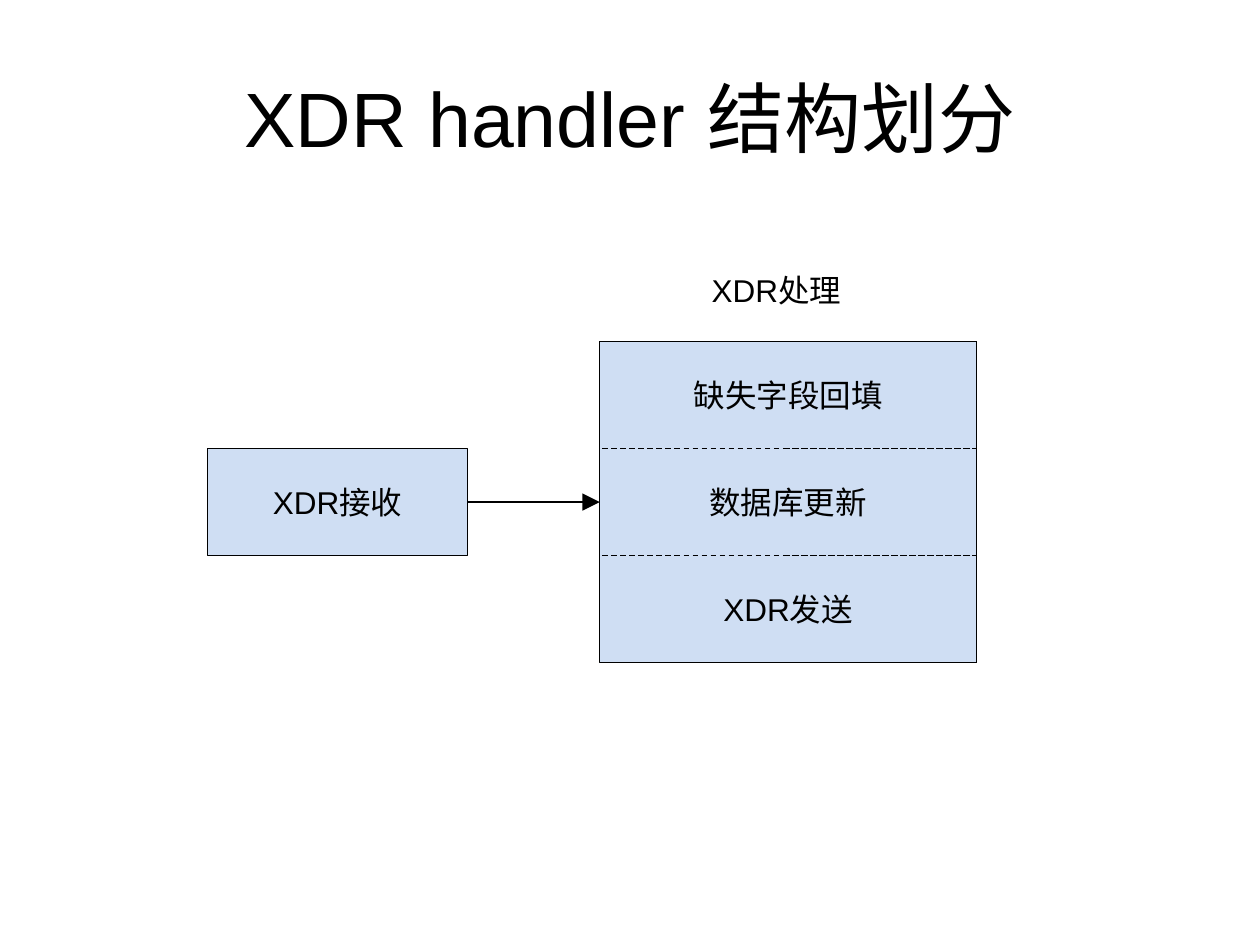
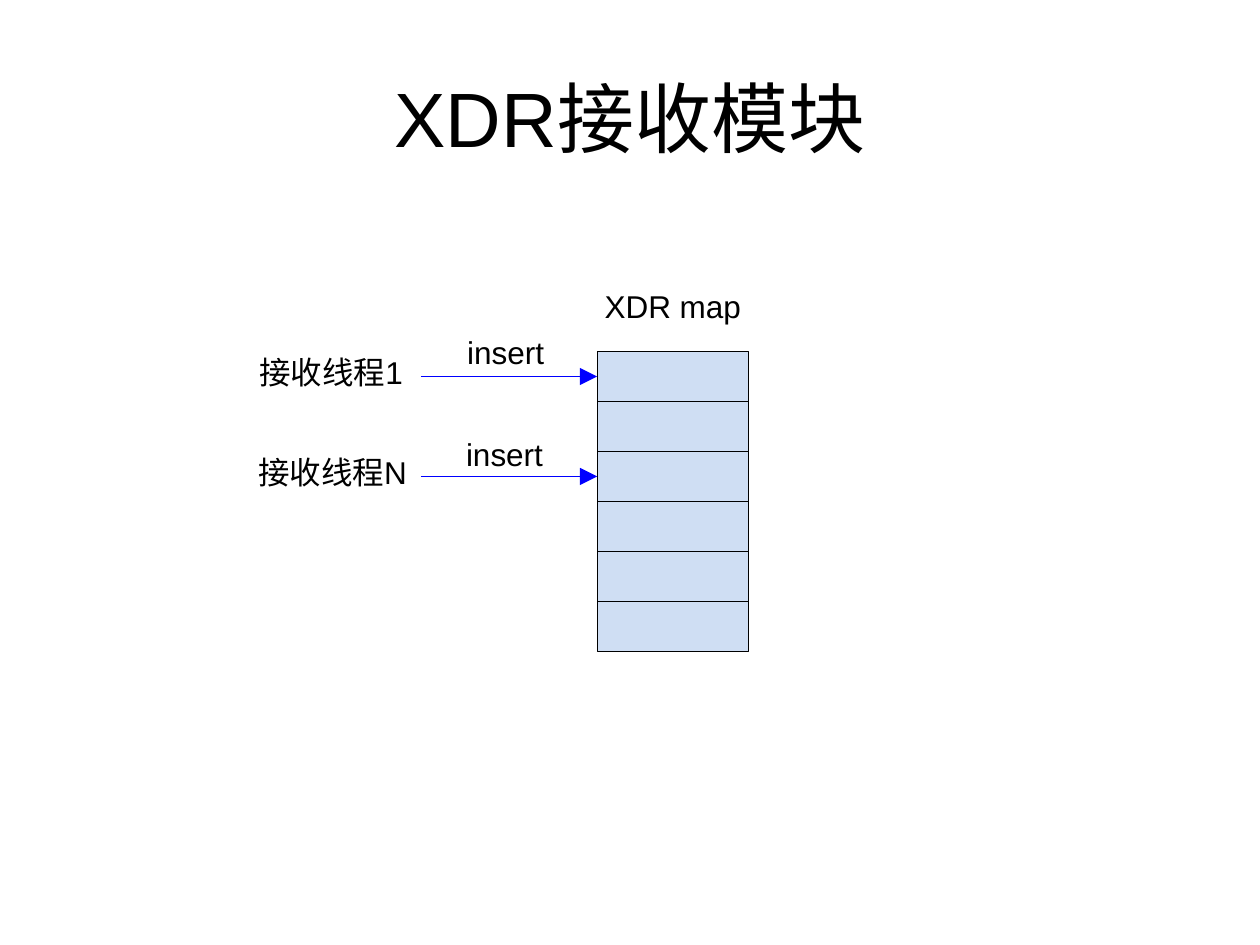
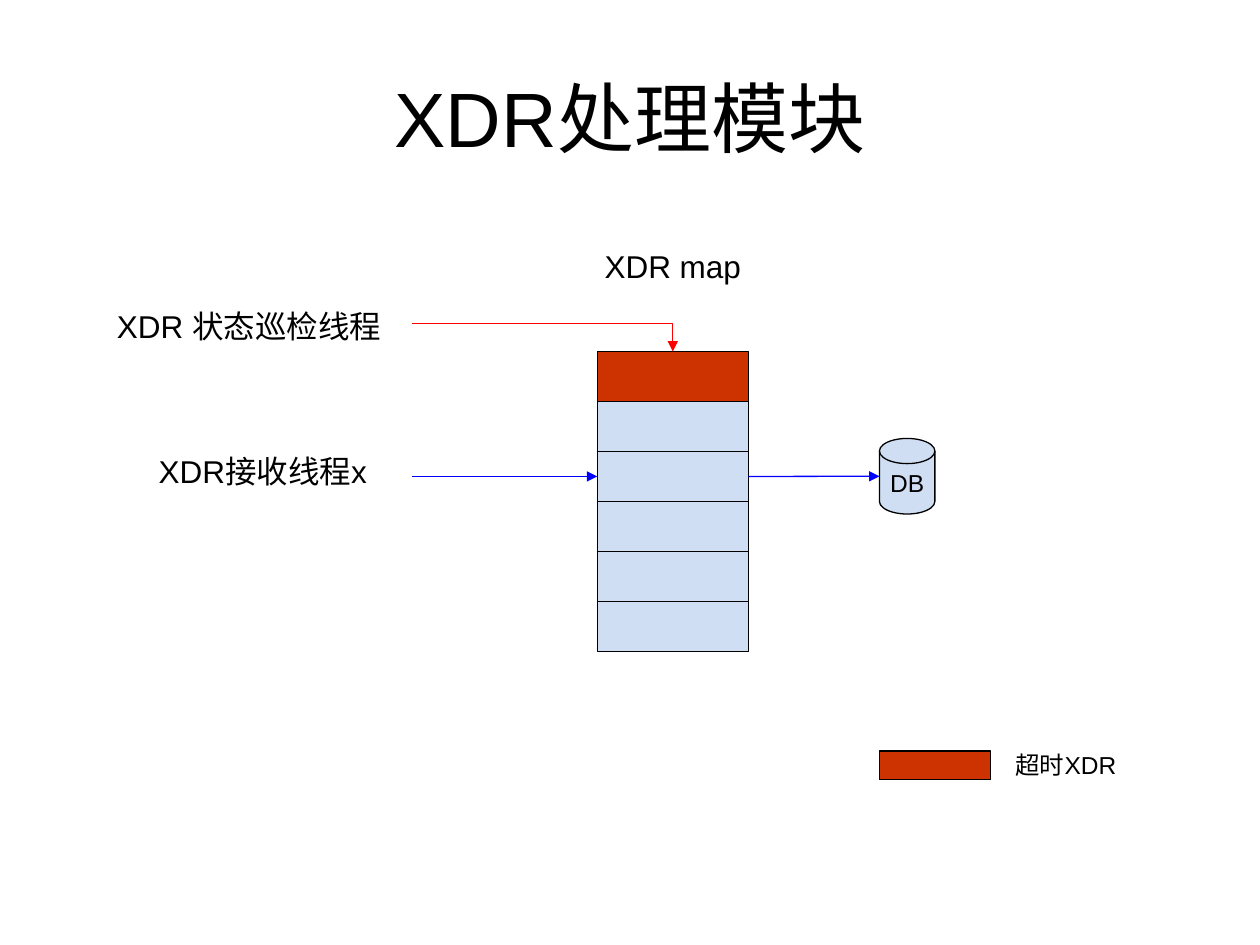
from lxml.etree import SubElement
from pptx import Presentation
from pptx.dml.color import RGBColor
from pptx.enum.dml import MSO_LINE
from pptx.enum.shapes import MSO_CONNECTOR, MSO_SHAPE
from pptx.enum.text import MSO_ANCHOR, MSO_AUTO_SIZE, PP_ALIGN
from pptx.oxml.ns import qn
from pptx.util import Inches, Pt

BLACK = RGBColor(0x00, 0x00, 0x00)
PALE_BLUE = RGBColor(0xCF, 0xDE, 0xF3)
TIMEOUT_RED = RGBColor(0xCC, 0x33, 0x00)
BLUE = RGBColor(0x00, 0x00, 0xFF)
RED = RGBColor(0xFF, 0x00, 0x00)
FONT = "Arial"
LINE_WIDTH = Pt(0.75)
TOP, LEFT, RIGHT = 0, 1, 3
SLOT_COUNT = 6
MAP_BOX = (4.74, 2.79, 1.2, 2.38)


def write(shape, text, size, align=PP_ALIGN.CENTER, anchor=MSO_ANCHOR.MIDDLE, wrap=False):
    """Put one styled run into a shape."""
    frame = shape.text_frame
    frame.word_wrap = wrap
    frame.vertical_anchor = anchor
    para = frame.paragraphs[0]
    para.alignment = align
    span = para.add_run()
    span.text = text
    span.font.name = FONT
    span.font.size = Pt(size)
    span.font.color.rgb = BLACK


def add_title(page, text):
    """Add the centred slide title."""
    box = page.shapes.add_textbox(Inches(0.5), Inches(0.3), Inches(9), Inches(1.25))
    write(box, text, 44, wrap=True)


def add_label(page, text, left, top, width, height=0.4, size=18):
    """Add a free label that fits its text."""
    box = page.shapes.add_textbox(Inches(left), Inches(top), Inches(width), Inches(height))
    write(box, text, size, PP_ALIGN.LEFT, MSO_ANCHOR.TOP)
    box.text_frame.auto_size = MSO_AUTO_SIZE.SHAPE_TO_FIT_TEXT


def add_block(page, left, top, width, height, fill=PALE_BLUE, text="", size=18,
              kind=MSO_SHAPE.RECTANGLE, dashed=False):
    """Add an outlined shape, unfilled if fill is None."""
    block = page.shapes.add_shape(kind, Inches(left), Inches(top), Inches(width), Inches(height))
    block.shadow.inherit = False
    if fill is None:
        block.fill.background()
    else:
        block.fill.solid()
        block.fill.fore_color.rgb = fill
    block.line.color.rgb = BLACK
    block.line.width = LINE_WIDTH
    if dashed:
        block.line.dash_style = MSO_LINE.DASH
    if text:
        write(block, text, size)
    return block


def style_arrow(arrow, color, head):
    """Colour a connector and give it an arrowhead."""
    arrow.line.color.rgb = color
    arrow.line.width = LINE_WIDTH
    SubElement(arrow.line._get_or_add_ln(), qn("a:tailEnd"), type="triangle", w=head, len=head)
    SubElement(arrow._element.spPr, qn("a:effectLst"))


def add_arrow(page, start, target, color, head="med", source=None):
    """Draw a level arrow to the left side of a target."""
    middle = target.top + target.height // 2
    arrow = page.shapes.add_connector(
        MSO_CONNECTOR.STRAIGHT, Inches(start), middle, target.left, middle)
    if source is not None:
        arrow.begin_connect(source, RIGHT)
    arrow.end_connect(target, LEFT)
    style_arrow(arrow, color, head)


def add_bent_arrow(page, left, top, target, color):
    """Draw an arrow that runs right, then down onto a target."""
    arrow = page.shapes.add_connector(
        MSO_CONNECTOR.ELBOW, Inches(left), Inches(top),
        target.left + target.width // 2, target.top)
    arrow._element.spPr.find(qn("a:prstGeom")).set("prst", "bentConnector2")
    arrow.end_connect(target, TOP)
    style_arrow(arrow, color, "med")


def add_map(page, box, label_top, first_fill=PALE_BLUE):
    """Stack the map slots in a box, label them and return them."""
    left, top, width, height = box
    pitch = height / SLOT_COUNT
    fills = [first_fill] + [PALE_BLUE] * (SLOT_COUNT - 1)
    slots = [add_block(page, left, top + row * pitch, width, pitch, fill)
             for row, fill in enumerate(fills)]
    add_label(page, "XDR map", left - 0.04, label_top, 1.34)
    return slots


def add_processing(page, left, top, width, height):
    """Add the processing panel with its dashed steps."""
    panel = add_block(page, left, top, width, height)
    steps = ["缺失字段回填", "数据库更新", "XDR发送"]
    step_height = height / len(steps)
    for row, step in enumerate(steps):
        add_block(page, left, top + row * step_height, width, step_height,
                  None, step, dashed=True)
    add_label(page, "XDR处理", left + 0.79, top - 0.61, 1.32)
    return panel


def add_insert(page, slot, thread, left, top, label_top):
    """Add a receiving thread that inserts into a slot."""
    add_arrow(page, 3.34, slot, BLUE, "lg")
    add_label(page, thread, left, top, 1.46)
    add_label(page, "insert", left + 1.65, label_top, 0.85)


def add_legend(page, left, top):
    """Explain the timeout colour."""
    add_block(page, left, top, 0.88, 0.23, TIMEOUT_RED)
    add_label(page, "超时XDR", left + 0.98, top - 0.06, 1.08, 0.34, 14)


def build_structure(page):
    """Build the structure slide."""
    add_title(page, "XDR handler 结构划分")
    panel = add_processing(page, 4.76, 2.71, 2.99, 2.55)
    receiver = add_block(page, 1.65, 3.56, 2.06, 0.85, text="XDR接收")
    add_arrow(page, 3.71, panel, BLACK, "lg", receiver)


def build_receiving(page):
    """Build the receiving module slide."""
    add_title(page, "XDR接收模块")
    slots = add_map(page, MAP_BOX, 2.23)
    add_insert(page, slots[0], "接收线程1", 1.96, 2.75, 2.59)
    add_insert(page, slots[2], "接收线程N", 1.95, 3.55, 3.4)


def build_processing(page):
    """Build the processing module slide."""
    add_title(page, "XDR处理模块")
    slots = add_map(page, MAP_BOX, 1.91, TIMEOUT_RED)
    add_bent_arrow(page, 3.27, 2.57, slots[0], RED)
    add_label(page, "XDR 状态巡检线程", 0.83, 2.39, 2.42)
    add_legend(page, 6.98, 5.96)
    add_arrow(page, 3.27, slots[2], BLUE)
    add_label(page, "XDR接收线程x", 1.16, 3.54, 2.02)
    database = add_block(page, 6.98, 3.48, 0.44, 0.6, text="DB", size=14,
                         kind=MSO_SHAPE.FLOWCHART_MAGNETIC_DISK)
    add_arrow(page, 5.94, database, BLUE, source=slots[2])


def main():
    """Build and save the deck."""
    deck = Presentation()
    deck.slide_width = Inches(10)
    deck.slide_height = Inches(7.5)
    for build in (build_structure, build_receiving, build_processing):
        build(deck.slides.add_slide(deck.slide_layouts[6]))
    deck.save("out.pptx")


if __name__ == "__main__":
    main()
